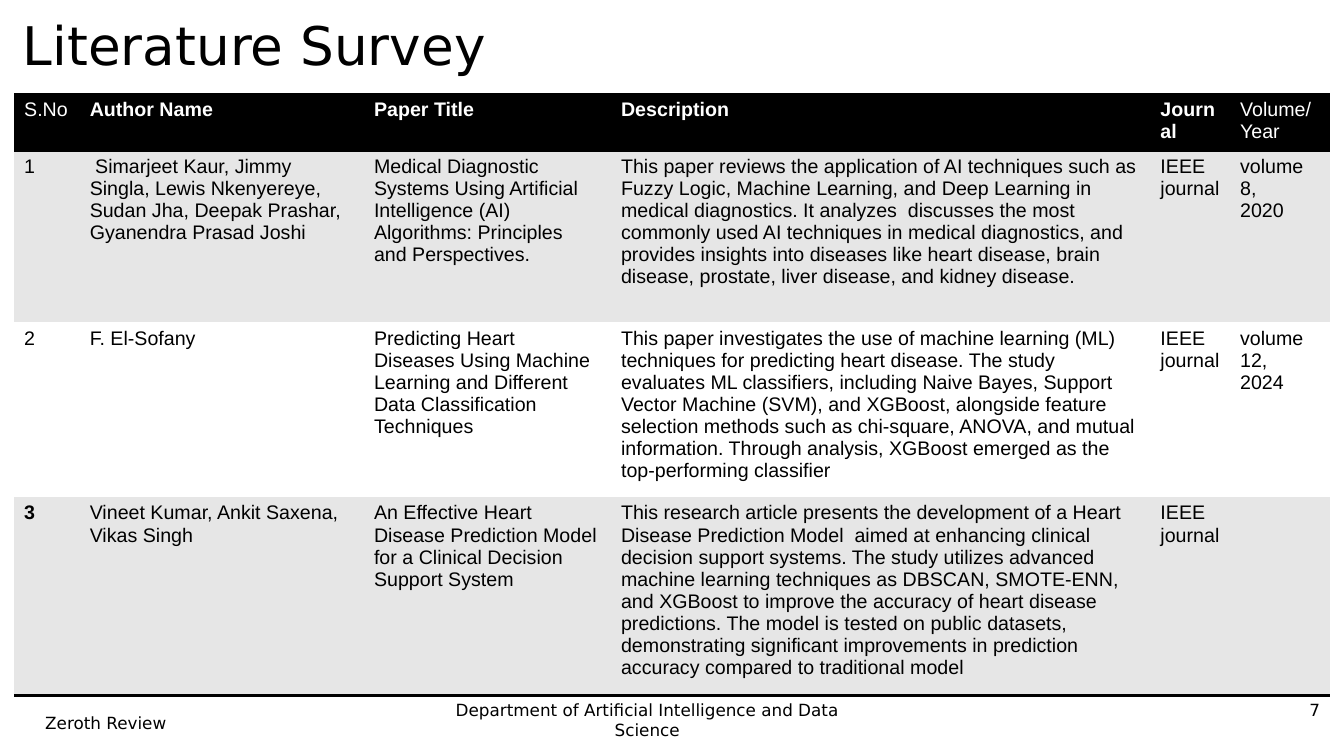
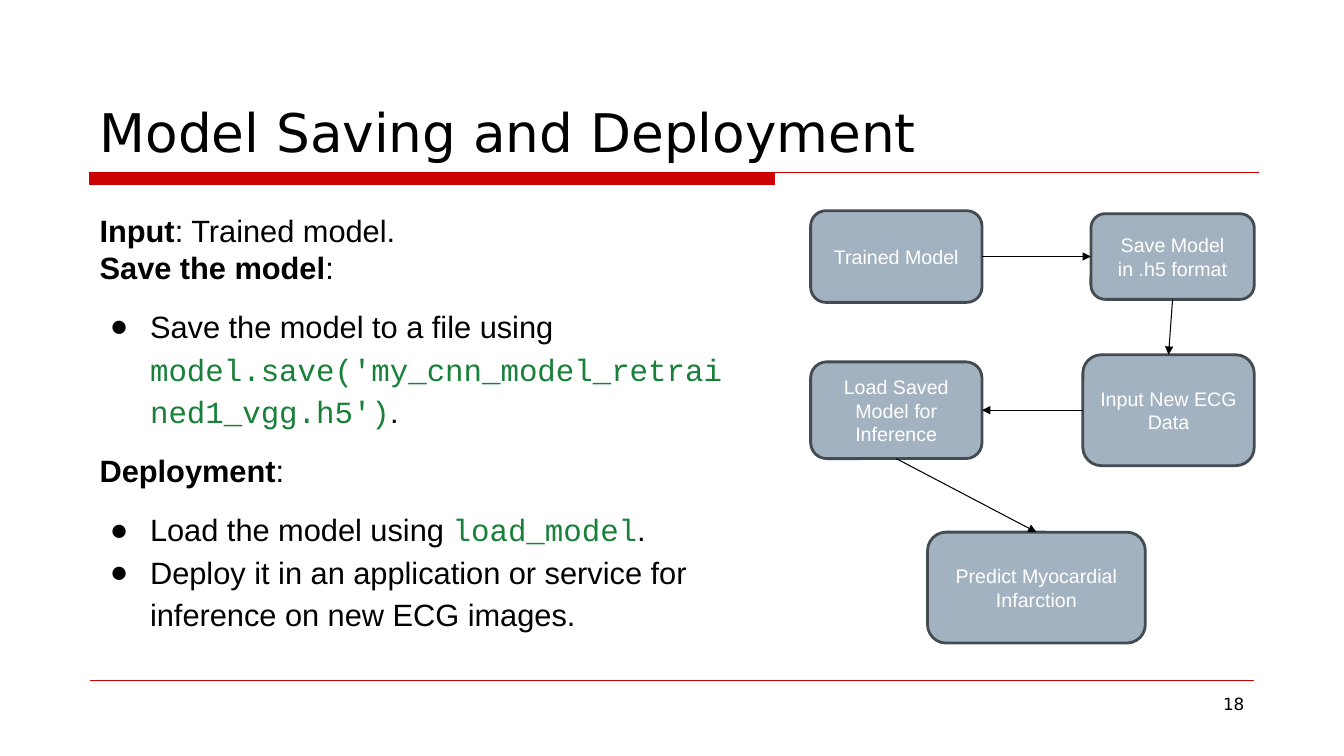
"""Builds two slides: a literature survey table and a model deployment flow."""
from lxml.etree import Element, SubElement
from pptx import Presentation
from pptx.dml.color import RGBColor
from pptx.enum.shapes import MSO_CONNECTOR, MSO_SHAPE
from pptx.enum.text import MSO_ANCHOR, PP_ALIGN
from pptx.oxml.ns import qn
from pptx.util import Inches, Pt

BLACK, WHITE, GREY, RED = "000000", "FFFFFF", "E6E6E6", "CC0000"
GREEN, STEEL, SLATE = "188038", "A3B2C1", "444B51"
SANS, ARIAL, MONO = "DejaVu Sans", "Arial", "Courier New"
PLAIN_STYLE = "{2D5ABB26-0587-4C30-8999-92F81FD0307C}"
LEFT, CENTER, RIGHT = PP_ALIGN.LEFT, PP_ALIGN.CENTER, PP_ALIGN.RIGHT

COLS = [0.65, 2.82, 2.45, 5.35, 0.79, 0.99]
ROWS = [0.55, 1.7, 1.68, 1.91]
SURVEY = [
    ["S.No", "Author Name", "Paper Title", "Description", "Journal",
     "Volume/\nYear"],
    ["1",
     " Simarjeet Kaur, Jimmy Singla, Lewis Nkenyereye, Sudan Jha, "
     "Deepak Prashar, Gyanendra Prasad Joshi",
     "Medical Diagnostic Systems Using Artificial Intelligence (AI) "
     "Algorithms: Principles and Perspectives.",
     "This paper reviews the application of AI techniques such as Fuzzy "
     "Logic, Machine Learning, and Deep Learning in medical diagnostics. "
     "It analyzes  discusses the most commonly used AI techniques in "
     "medical diagnostics, and provides insights into diseases like heart "
     "disease, brain disease, prostate, liver disease, and kidney disease.",
     "IEEE journal", "volume 8,\n2020"],
    ["2", "F. El-Sofany",
     "Predicting Heart Diseases Using Machine Learning and Different Data "
     "Classification Techniques",
     "This paper investigates the use of machine learning (ML) techniques "
     "for predicting heart disease. The study evaluates ML classifiers, "
     "including Naive Bayes, Support Vector Machine (SVM), and XGBoost, "
     "alongside feature selection methods such as chi-square, ANOVA, and "
     "mutual information. Through analysis, XGBoost emerged as the "
     "top-performing classifier",
     "IEEE\njournal", "volume\n12,\n2024"],
    ["3", "Vineet Kumar, Ankit Saxena, Vikas Singh",
     "An Effective Heart Disease Prediction Model for a Clinical Decision "
     "Support System",
     "This research article presents the development of a Heart Disease "
     "Prediction Model  aimed at enhancing clinical decision support "
     "systems. The study utilizes advanced machine learning techniques as "
     "DBSCAN, SMOTE-ENN, and XGBoost to improve the accuracy of heart "
     "disease predictions. The model is tested on public datasets, "
     "demonstrating significant improvements in prediction accuracy "
     "compared to traditional model",
     "IEEE\njournal", ""],
]
BOLD_CELLS = {(0, 1), (0, 2), (0, 3), (0, 4), (3, 0)}

STEPS = [
    ("Trained Model", 8.04, 2.09, 1.7, 0.91),
    ("Save Model in .h5 format", 10.82, 2.12, 1.62, 0.85),
    ("Input New ECG Data", 10.74, 3.52, 1.7, 1.1),
    ("Load Saved Model for Inference", 8.04, 3.59, 1.7, 0.96),
    ("Predict Myocardial Infarction", 9.2, 5.28, 2.16, 1.1),
]
SIDES = [(3, 1), (2, 0), (1, 3), (2, 0)]

BODY = [
    ([("Input", "bold"), (": Trained model.", "")], False, 1, 0),
    ([("Save the model", "bold"), (":", "")], False, 1, 0),
    ([("Save the model to a file using ", ""),
      ("model.save('my_cnn_model_retrained1_vgg.h5')", "code"),
      (".", "")], True, 1.15, 12),
    ([("Deployment", "bold"), (":", "")], False, 1.15, 12),
    ([("Load the model using ", ""), ("load_model", "code"), (".", "")],
     True, 1.15, 12),
    ([("Deploy it in an application or service for inference on new ECG "
       "images.", "")], True, 1.15, 0),
]


def rgb(code):
    """Turn a hex string into a colour."""
    return RGBColor.from_string(code)


def style(run, size, font=ARIAL, color=BLACK, bold=False):
    """Format one run."""
    run.font.size, run.font.name, run.font.bold = Pt(size), font, bold
    run.font.color.rgb = rgb(color)


def write(frame, text, size, font=ARIAL, color=BLACK, bold=False, align=LEFT):
    """Fill a text frame with evenly styled text."""
    frame.text = text
    for para in frame.paragraphs:
        para.alignment = align
        for run in para.runs:
            style(run, size, font, color, bold)
        SubElement(para._p, qn("a:endParaRPr"), sz=str(size * 100))


def add_box(slide, left, top, width, height):
    """Add a wrapping text box and return its frame."""
    box = slide.shapes.add_textbox(Inches(left), Inches(top),
                                   Inches(width), Inches(height))
    box.text_frame.word_wrap = True
    return box.text_frame


def add_title(slide, text, left, top, width):
    """Add a slide title that sits on the bottom of its box."""
    frame = add_box(slide, left, top, width, 1.34)
    frame.vertical_anchor = MSO_ANCHOR.BOTTOM
    write(frame, text, 38, SANS)


def add_foot(slide, text, left, top, width, align):
    """Add one piece of footer text."""
    write(add_box(slide, left, top, width, 0.52), text, 12, SANS, align=align)


def add_line(slide, start=(0, 0), end=(0, 0), color=BLACK):
    """Add a thin straight line without a shadow."""
    points = [Inches(n) for n in (*start, *end)]
    line = slide.shapes.add_connector(MSO_CONNECTOR.STRAIGHT, *points)
    line.line.width = Pt(0.75)
    line.line.color.rgb = rgb(color)
    SubElement(line.element.spPr, qn("a:effectLst"))
    return line


def add_shape(slide, kind, place, fill, edge, width):
    """Add a filled and outlined preset shape."""
    shape = slide.shapes.add_shape(kind, *[Inches(n) for n in place])
    shape.shadow.inherit = False
    shape.fill.solid()
    shape.fill.fore_color.rgb = rgb(fill)
    shape.line.color.rgb = rgb(edge)
    shape.line.width = Pt(width)
    return shape


def add_slide(deck):
    """Add a blank slide with the red title band and footer rule."""
    slide = deck.slides.add_slide(deck.slide_layouts[6])
    add_shape(slide, MSO_SHAPE.RECTANGLE, (0.89, 1.71, 6.79, 0.12),
              RED, RED, 0.75)
    add_line(slide, (0.89, 1.71), (12.49, 1.71), RED)
    add_line(slide, (0.89, 6.75), (12.44, 6.75), RED)
    return slide


def add_edge(cell, side):
    """Draw a black border on one side of a cell."""
    edge = Element(qn("a:" + side), w=str(Pt(2)))
    fill = SubElement(edge, qn("a:solidFill"))
    SubElement(fill, qn("a:srgbClr"), val=BLACK)
    cell._tc.get_or_add_tcPr().insert(0, edge)


def add_grid(slide):
    """Add the survey table."""
    frame = slide.shapes.add_table(len(ROWS), len(COLS), Inches(0.14),
                                   Inches(0.93), Inches(sum(COLS)),
                                   Inches(sum(ROWS)))
    frame.element.xpath(".//a:tableStyleId")[0].text = PLAIN_STYLE
    table = frame.table
    for col, width in zip(table.columns, COLS):
        col.width = Inches(width)
    for r, (row, height) in enumerate(zip(table.rows, ROWS)):
        row.height = Inches(height)
        back = BLACK if r == 0 else GREY if r % 2 else WHITE
        for c, cell in enumerate(row.cells):
            write(cell.text_frame, SURVEY[r][c], 14,
                  color=WHITE if r == 0 else BLACK, bold=(r, c) in BOLD_CELLS)
            cell.fill.solid()
            cell.fill.fore_color.rgb = rgb(back)
            if r in (0, len(ROWS) - 1):
                add_edge(cell, "lnB")
            if r == 0:
                add_edge(cell, "lnT")


def add_bullet(para):
    """Give a paragraph a hanging round bullet."""
    props = para._p.get_or_add_pPr()
    props.set("marL", str(Inches(0.5)))
    props.set("indent", str(Inches(-0.4)))
    color = SubElement(props, qn("a:buClr"))
    SubElement(color, qn("a:srgbClr"), val=BLACK)
    SubElement(props, qn("a:buFont"), typeface=ARIAL)
    SubElement(props, qn("a:buChar"), char="●")


def add_body(slide):
    """Add the text on saving and deployment."""
    frame = add_box(slide, 0.89, 2.05, 6.52, 4.27)
    for i, (parts, bullet, space, before) in enumerate(BODY):
        para = frame.add_paragraph() if i else frame.paragraphs[0]
        para.line_spacing, para.space_before = space, Pt(before)
        if bullet:
            add_bullet(para)
        for text, kind in parts:
            run = para.add_run()
            run.text = text
            code = kind == "code"
            style(run, 22, MONO if code else ARIAL,
                  GREEN if code else BLACK, kind == "bold")


def add_step(slide, text, *place):
    """Add one rounded step of the flow."""
    step = add_shape(slide, MSO_SHAPE.ROUNDED_RECTANGLE, place,
                     STEEL, SLATE, 2)
    frame = step.text_frame
    frame.word_wrap = True
    frame.vertical_anchor = MSO_ANCHOR.MIDDLE
    write(frame, text, 14, color=WHITE, align=CENTER)
    return step


def add_arrow(slide, first, last, sides):
    """Join two steps with an arrow."""
    line = add_line(slide)
    line.begin_connect(first, sides[0])
    line.end_connect(last, sides[1])
    SubElement(line.line._get_or_add_ln(), qn("a:tailEnd"), type="triangle")


def add_flow(slide):
    """Add the steps and the arrows between them."""
    steps = [add_step(slide, *step) for step in STEPS]
    for first, last, sides in zip(steps, steps[1:], SIDES):
        add_arrow(slide, first, last, sides)


def main():
    """Build and save the slides."""
    deck = Presentation()
    deck.slide_width, deck.slide_height = Inches(13.33), Inches(7.5)

    survey = add_slide(deck)
    add_title(survey, "Literature Survey", 0.13, -0.54, 11.67)
    add_foot(survey, "Zeroth Review", 0.35, 7.02, 2.89, LEFT)
    add_foot(survey, "Department of Artificial Intelligence and Data Science",
             4.31, 6.89, 4.22, CENTER)
    add_foot(survey, "7", 10.3, 6.89, 2.89, RIGHT)
    add_grid(survey)

    deploy = add_slide(deck)
    add_title(deploy, "Model Saving and Deployment", 0.89, 0.33, 11.99)
    add_foot(deploy, "18", 9.55, 6.83, 2.89, RIGHT)
    add_body(deploy)
    add_flow(deploy)

    deck.save("out.pptx")


if __name__ == "__main__":
    main()
